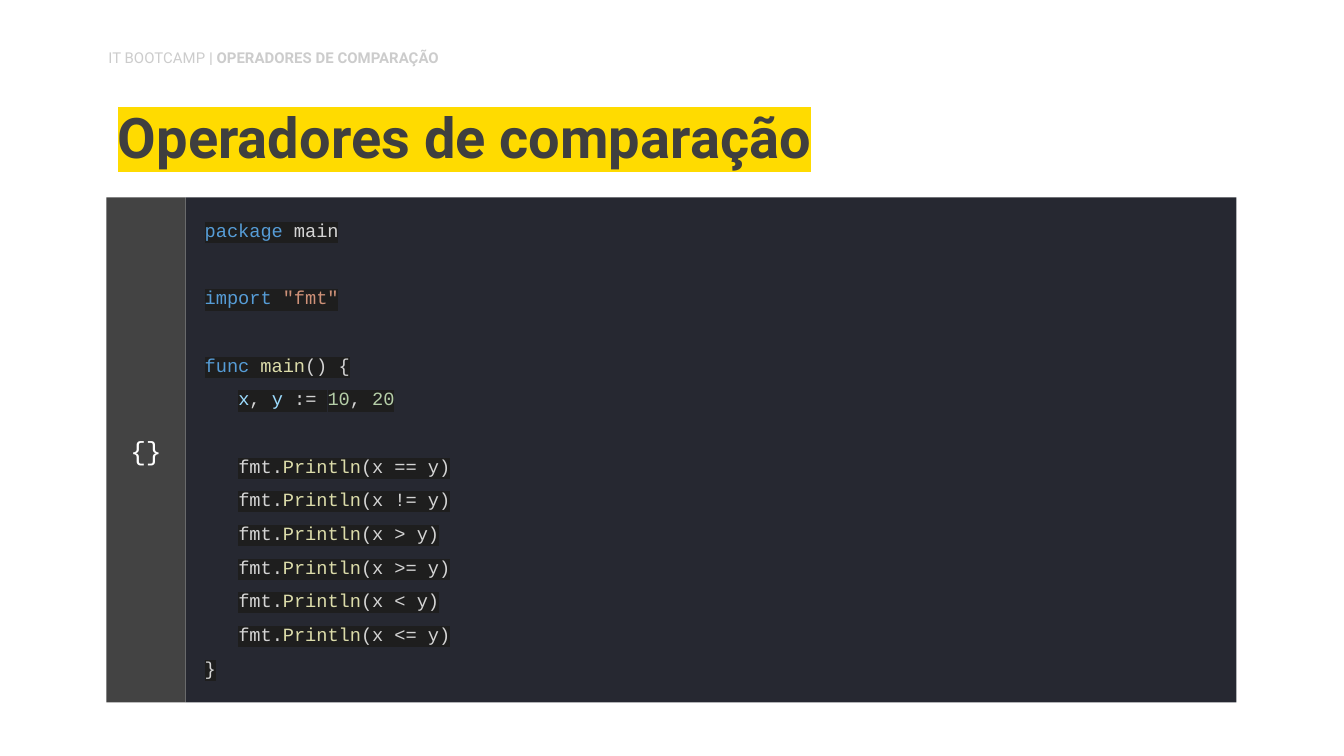
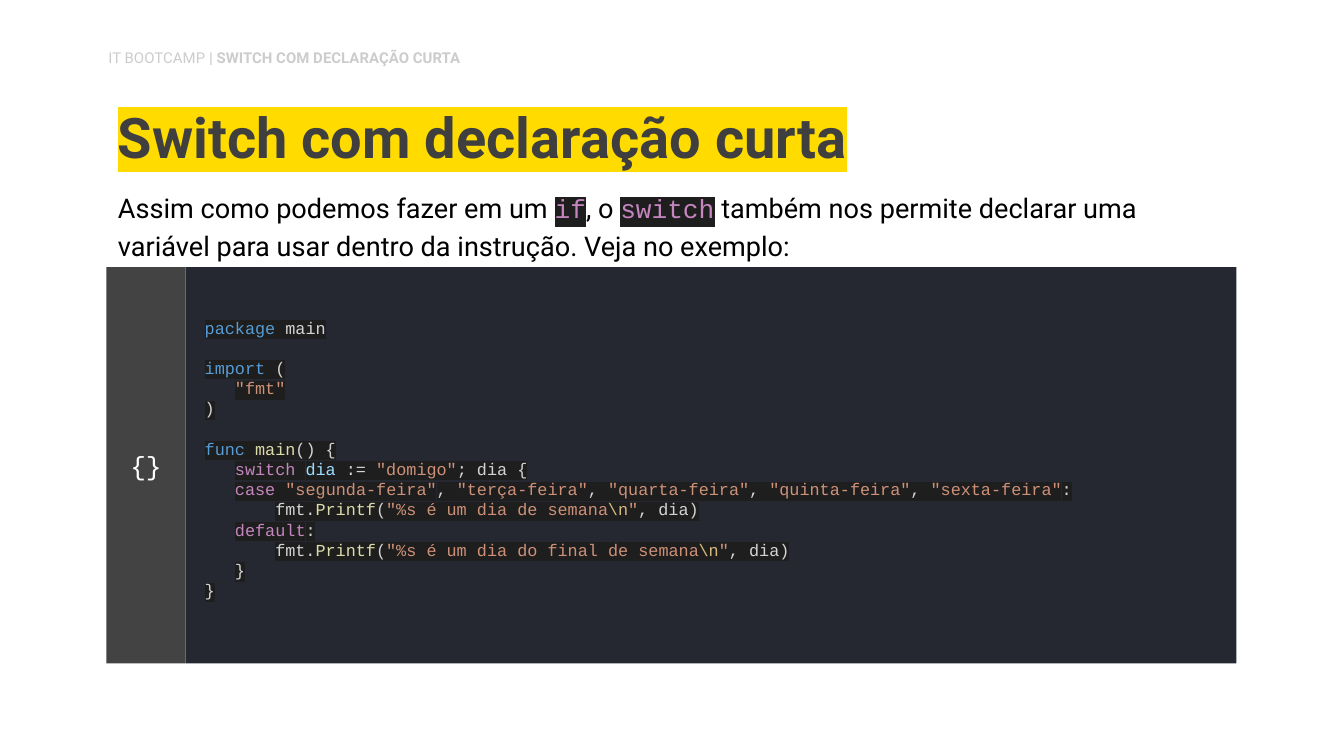
from dataclasses import dataclass

from lxml import etree
from pptx import Presentation
from pptx.dml.color import RGBColor
from pptx.enum import shapes, text
from pptx.oxml import ns
from pptx.util import Cm, Pt

SANS, MONO = "Roboto", "Courier New"
WHITE, BLACK = "FFFFFF", "000000"
HEADER_GREY, TITLE_GREY, TITLE_YELLOW = "CCCCCC", "3F3F3F", "FFDB00"
PANEL_FILL, GUTTER_FILL, CODE_HIGHLIGHT = "262831", "434343", "1E1E1E"

KEYWORD, PLAIN, STRING, FUNCTION = "569CD6", "D4D4D4", "CE9178", "DCDCAA"
VARIABLE, NUMBER, CONTROL, ESCAPE = "9CDCFE", "B5CEA8", "C586C0", "D7BA7D"

HEADER_BOX = (1.8, 0.79, 7.98, 0.69)
TITLE_BOX = (1.98, 1.73, 21.41, 1.75)
INTRO_BOX = (1.98, 3.28, 21.41, 1.88)
PANEL_LEFT, PANEL_WIDTH, GUTTER_WIDTH = 2.01, 21.36, 1.5
INSET = 0.25
CHARACTER_WIDTH = 0.6


@dataclass
class CodeLine:
    tokens: list
    indent: int = 0
    gap: bool = False


def color(value):
    return RGBColor.from_string(value)


def place(shape, box):
    shape.left, shape.top, shape.width, shape.height = map(Cm, box)


def format_frame(frame, anchor, insets):
    frame.word_wrap = True
    frame.auto_size = text.MSO_AUTO_SIZE.NONE
    frame.vertical_anchor = anchor
    (frame.margin_left, frame.margin_top,
     frame.margin_right, frame.margin_bottom) = map(Cm, insets)


def set_font(font, size, name, bold=False):
    font.size, font.name, font.bold = Pt(size), name, bold


def add_run(paragraph, words, fill, highlight=None):
    run = paragraph.add_run()
    run.text = words
    run.font.fill.solid()
    run.font.fill.fore_color.rgb = color(fill)
    if highlight:
        mark = etree.Element(ns.qn("a:highlight"))
        etree.SubElement(mark, ns.qn("a:srgbClr"), val=highlight)
        run.font._element.find(ns.qn("a:solidFill")).addnext(mark)
    return run


def set_indent(paragraph, width):
    properties = paragraph._p.get_or_add_pPr()
    properties.set("marL", str(width))
    properties.set("indent", "0")
    return properties


def add_header(slide, topic, box):
    shape = slide.shapes.add_textbox(*map(Cm, box))
    format_frame(shape.text_frame, text.MSO_ANCHOR.TOP,
                 (INSET, INSET / 2, INSET, INSET / 2))
    paragraph = shape.text_frame.paragraphs[0]
    paragraph.space_after = Pt(12)
    set_font(paragraph.font, 8, SANS)
    add_run(paragraph, "IT BOOTCAMP", HEADER_GREY)
    add_run(paragraph, f" | {topic.upper()}", HEADER_GREY).font.bold = True


def fill_title(slide, topic, box):
    title = slide.shapes.title
    place(title, box)
    format_frame(title.text_frame, text.MSO_ANCHOR.BOTTOM, (INSET,) * 4)
    paragraph = title.text_frame.paragraphs[0]
    paragraph.alignment = text.PP_ALIGN.LEFT
    paragraph.line_spacing = 0.9
    set_font(paragraph.font, 30, SANS, True)
    add_run(paragraph, topic, TITLE_GREY, TITLE_YELLOW)


def fill_intro(slide, pieces, box):
    body = slide.placeholders[1]
    place(body, box)
    format_frame(body.text_frame, text.MSO_ANCHOR.TOP, (INSET,) * 4)
    paragraph = body.text_frame.paragraphs[0]
    paragraph.alignment = text.PP_ALIGN.LEFT
    paragraph.line_spacing = 1.15
    paragraph.space_before = Pt(14)
    etree.SubElement(set_indent(paragraph, 0), ns.qn("a:buNone"))
    for words, is_code in pieces:
        if is_code:
            run = add_run(paragraph, words, CONTROL, CODE_HIGHLIGHT)
            set_font(run.font, 14, MONO)
        else:
            run = add_run(paragraph, words, BLACK, WHITE)
            set_font(run.font, 14.5, SANS)


def add_block(slide, box, fill, insets):
    shape = slide.shapes.add_shape(shapes.MSO_SHAPE.RECTANGLE, *map(Cm, box))
    shape.shadow.inherit = False
    shape.fill.solid()
    shape.fill.fore_color.rgb = color(fill)
    shape.line.fill.background()
    format_frame(shape.text_frame, text.MSO_ANCHOR.MIDDLE, insets)
    return shape.text_frame


def add_code_panel(slide, lines, box, size, spacing):
    left, top, width, height = box
    frame = add_block(slide, (left + GUTTER_WIDTH, top, width - GUTTER_WIDTH, height),
                      PANEL_FILL, (0.36, 0, INSET, INSET))
    for number, line in enumerate(lines):
        paragraph = frame.add_paragraph() if number else frame.paragraphs[0]
        paragraph.alignment = text.PP_ALIGN.LEFT
        paragraph.line_spacing = spacing
        if line.gap:
            paragraph.space_before = Pt(size * 1.2 * spacing)
        set_indent(paragraph, Pt(line.indent * size * CHARACTER_WIDTH))
        set_font(paragraph.font, size, MONO)
        for words, fill in line.tokens:
            add_run(paragraph, words, fill, CODE_HIGHLIGHT)

    gutter = add_block(slide, (left, top, GUTTER_WIDTH, height),
                       GUTTER_FILL, (INSET,) * 4)
    paragraph = gutter.paragraphs[0]
    paragraph.alignment = text.PP_ALIGN.CENTER
    set_font(paragraph.font, 14, MONO)
    add_run(paragraph, "{}", WHITE)


def add_code_slide(presentation, topic, lines, top, height, size, spacing, intro=None):
    layout = presentation.slide_layouts[1 if intro else 5]
    slide = presentation.slides.add_slide(layout)
    if intro:
        fill_intro(slide, intro, INTRO_BOX)
    fill_title(slide, topic, TITLE_BOX)
    add_header(slide, topic, HEADER_BOX)
    add_code_panel(slide, lines, (PANEL_LEFT, top, PANEL_WIDTH, height), size, spacing)


def print_comparison(operator, gap):
    return CodeLine([("fmt.", PLAIN), ("Println", FUNCTION),
                     (f"(x {operator} y)", PLAIN)], 3, gap)


def print_day(message):
    return CodeLine([("fmt.", PLAIN), ("Printf", FUNCTION), ("(", PLAIN),
                     (f'"%s {message}', STRING), ("\\n", ESCAPE),
                     ('"', STRING), (", dia)", PLAIN)], 7)


def case_line(days):
    tokens = [("case", CONTROL), (" ", PLAIN)]
    for day in days:
        tokens += [(f'"{day}"', STRING), (", ", PLAIN)]
    return CodeLine(tokens[:-1] + [(":", PLAIN)], 3)


PACKAGE_LINE = CodeLine([("package", KEYWORD), (" main", PLAIN)])
MAIN_LINE = CodeLine([("func", KEYWORD), (" ", PLAIN), ("main", FUNCTION),
                      ("() {", PLAIN)], gap=True)
CLOSING_LINE = CodeLine([("}", PLAIN)])

COMPARISON_CODE = [
    PACKAGE_LINE,
    CodeLine([("import", KEYWORD), (" ", PLAIN), ('"fmt"', STRING)], gap=True),
    MAIN_LINE,
    CodeLine([("x", VARIABLE), (", ", PLAIN), ("y", VARIABLE), (" := ", PLAIN),
              ("10", NUMBER), (", ", PLAIN), ("20", NUMBER)], 3),
    *[print_comparison(operator, operator == "==")
      for operator in ("==", "!=", ">", ">=", "<", "<=")],
    CLOSING_LINE,
]

SWITCH_CODE = [
    PACKAGE_LINE,
    CodeLine([("import", KEYWORD), (" (", PLAIN)], gap=True),
    CodeLine([('"fmt"', STRING)], 3),
    CodeLine([(")", PLAIN)]),
    MAIN_LINE,
    CodeLine([("switch", CONTROL), (" ", PLAIN), ("dia ", VARIABLE), (":= ", PLAIN),
              ('"domigo"', STRING), ("; dia {", PLAIN)], 3),
    case_line(["segunda-feira", "terça-feira", "quarta-feira",
               "quinta-feira", "sexta-feira"]),
    print_day("é um dia de semana"),
    CodeLine([("default", CONTROL), (":", PLAIN)], 3),
    print_day("é um dia do final de semana"),
    CodeLine([("}", PLAIN)], 3),
    CLOSING_LINE,
]

SWITCH_INTRO = [
    ("Assim como podemos fazer em um ", False),
    ("if", True),
    (", o ", False),
    ("switch", True),
    (" também nos permite declarar uma variável para usar dentro da instrução. "
     "Veja no exemplo:", False),
]


def main():
    presentation = Presentation()
    presentation.slide_width, presentation.slide_height = Cm(25.4), Cm(14.29)
    add_code_slide(presentation, "Operadores de comparação", COMPARISON_CODE,
                   top=3.73, height=9.55, size=10, spacing=1.5)
    add_code_slide(presentation, "Switch com declaração curta", SWITCH_CODE,
                   top=5.05, height=7.49, size=9, spacing=1.0, intro=SWITCH_INTRO)
    presentation.save("out.pptx")


if __name__ == "__main__":
    main()
